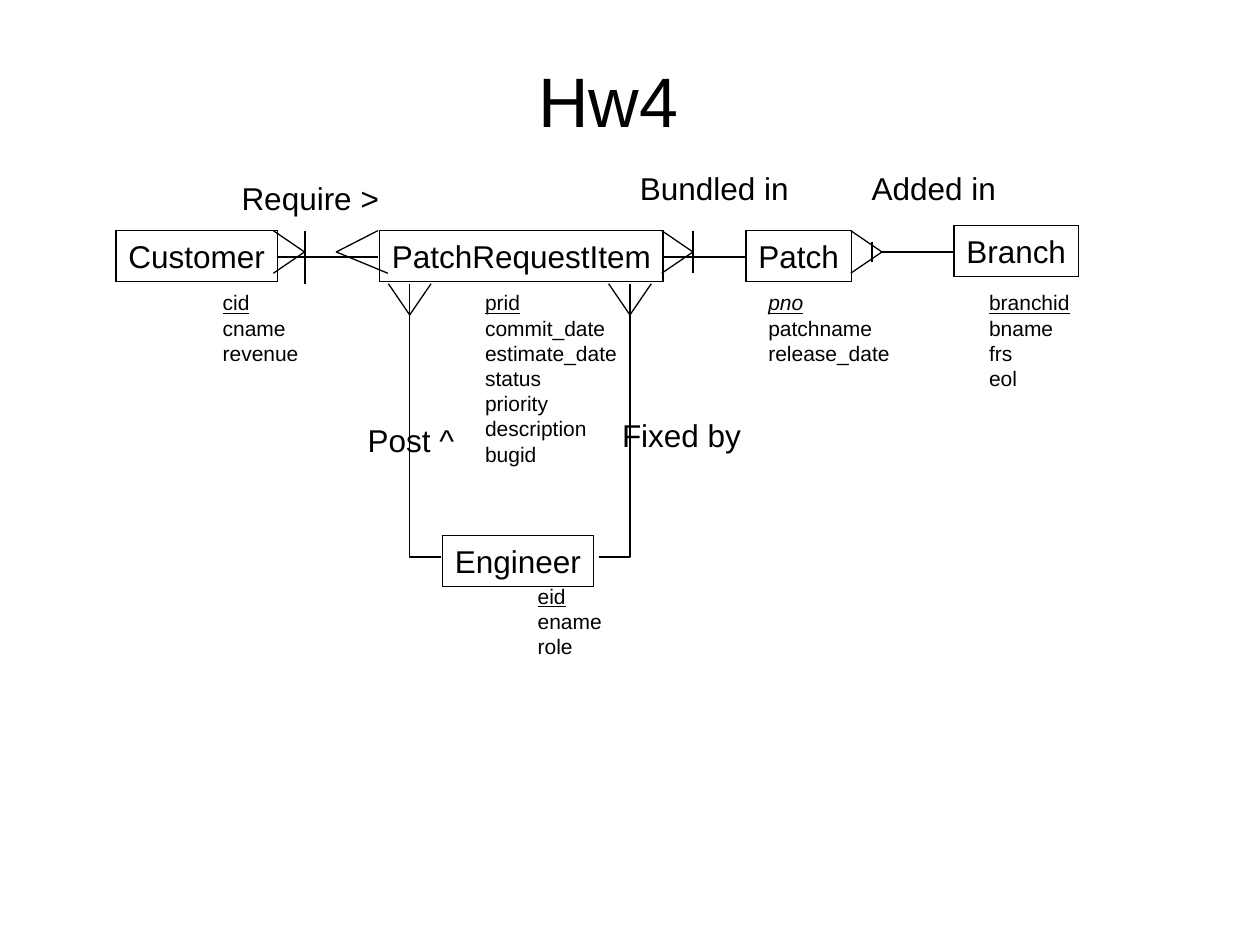
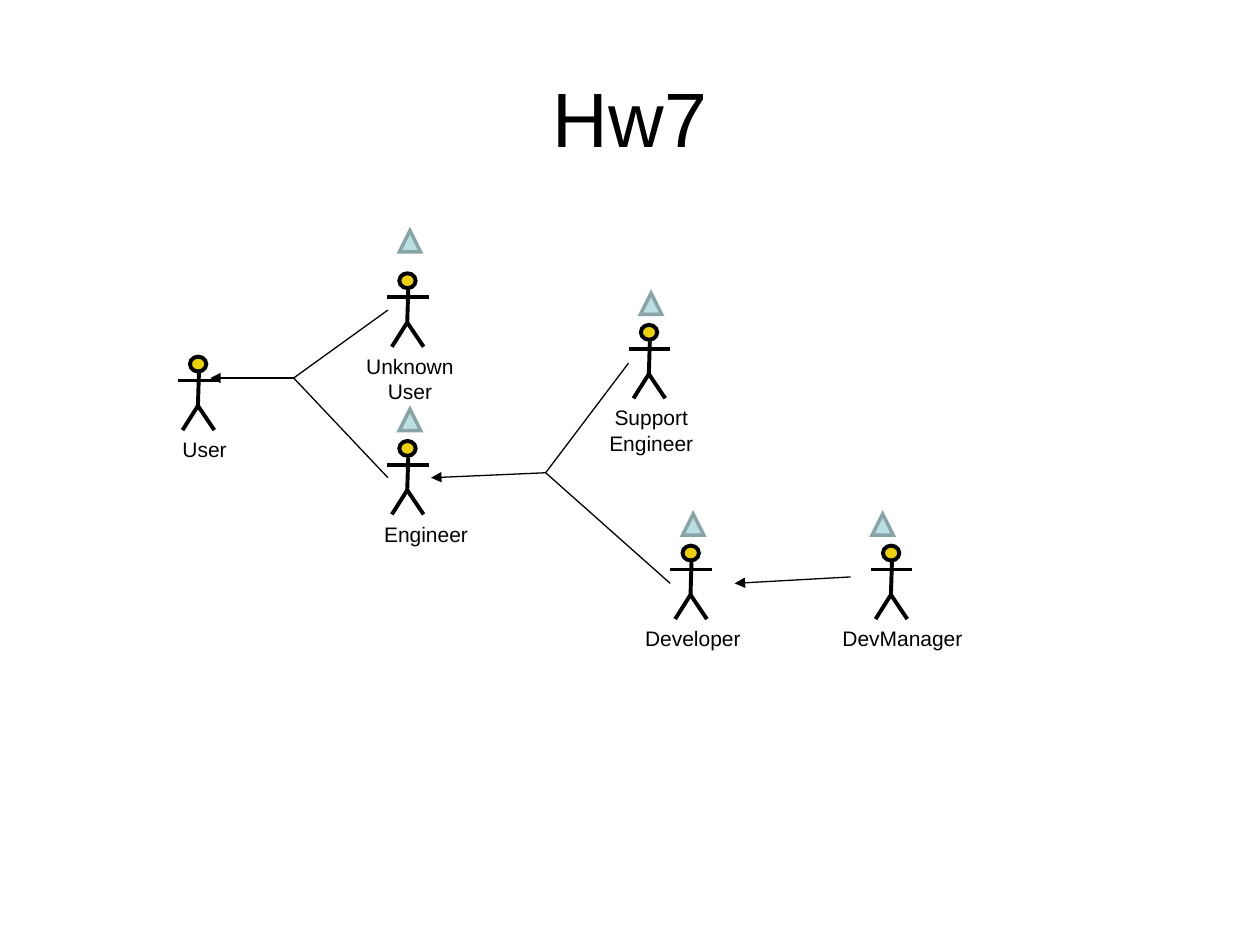
from pptx import Presentation, util as u
from pptx.dml.color import RGBColor
from pptx.enum import shapes as es, text as et
from pptx.oxml import parse_xml
from pptx.oxml.ns import nsdecls

FONT = "Arial"
INK, SKIN, MINT, TEAL = "000000", "ECD10A", "BBE0E3", "89A4A7"
THIN, BOLD = 0.75, 2.25


def tint(color, code):
    """Set a colour from a hex string."""
    color.rgb = RGBColor.from_string(code)


def style(font, size):
    """Give a font the shared face and colour."""
    font.name, font.size = FONT, u.Pt(size)
    tint(font.color, INK)


def write(frame, lines, size, align=et.PP_ALIGN.LEFT):
    """Fill a text frame with one paragraph per line."""
    frame.word_wrap = True
    frame.auto_size = et.MSO_AUTO_SIZE.SHAPE_TO_FIT_TEXT
    frame.vertical_anchor = et.MSO_ANCHOR.TOP
    if align == et.PP_ALIGN.LEFT:
        frame.margin_right = 0
    for i, line in enumerate(lines):
        para = frame.paragraphs[0] if i == 0 else frame.add_paragraph()
        para.text, para.alignment = line, align
        style(para.font, size)


def label(shapes, box, lines, size, **look):
    """Add a text box and return its text frame."""
    frame = shapes.add_textbox(*map(u.Cm, box)).text_frame
    write(frame, lines, size, **look)
    return frame


def solid(shapes, kind, box, fill, edge, width):
    """Add a preset shape with sharp corners, hollow when it has no fill."""
    shape = shapes.add_shape(kind, *map(u.Cm, box))
    shape.shadow.inherit = False
    if fill:
        shape.fill.solid()
        tint(shape.fill.fore_color, fill)
    else:
        shape.fill.background()
    tint(shape.line.color, edge)
    shape.line.width = u.Pt(width)
    edging = shape._element.spPr.find("{*}ln")
    edging.append(parse_xml(f'<a:miter {nsdecls("a")} lim="800000"/>'))
    return shape


def link(shapes, start, end, width=THIN, arrow=False):
    """Draw a straight line, with an arrowhead at its end if asked."""
    line = shapes.add_connector(es.MSO_CONNECTOR.STRAIGHT, *map(u.Cm, start + end))
    tint(line.line.color, INK)
    line.line.width = u.Pt(width)
    props = line._element.spPr
    if arrow:
        props.find("{*}ln").append(parse_xml(f'<a:tailEnd {nsdecls("a")} type="triangle"/>'))
    props.append(parse_xml(f'<a:effectLst {nsdecls("a")}/>'))


def trace(shapes, *points):
    """Draw an open outline through the points."""
    first, *rest = [tuple(map(u.Cm, point)) for point in points]
    pen = shapes.build_freeform(*first)
    pen.add_line_segments(rest, close=False)
    shape = pen.convert_to_shape()
    shape.shadow.inherit = False
    shape.fill.background()
    tint(shape.line.color, INK)
    shape.line.width = u.Pt(THIN)


def page(deck, name, box, size):
    """Add a slide with a centred title and return its shapes."""
    shapes = deck.slides.add_slide(deck.slide_layouts[5]).shapes
    title = shapes.title
    title.left, title.top, title.width, title.height = map(u.Cm, box)
    title.text_frame.text = name
    title.text_frame.vertical_anchor = et.MSO_ANCHOR.MIDDLE
    para = title.text_frame.paragraphs[0]
    para.alignment = et.PP_ALIGN.CENTER
    style(para.font, size)
    return shapes


def entity(shapes, name, box, shift, width, fields):
    """Draw an entity box with its fields below, the key underlined."""
    left, top, span = box
    shape = solid(shapes, es.MSO_SHAPE.RECTANGLE, (left, top, span, 1.02), None, INK, THIN)
    write(shape.text_frame, [name], 18)
    spot = left + shift[0], top + shift[1], width, 0.25 + 0.51 * len(fields)
    key = label(shapes, spot, fields, 12).paragraphs[0]
    key.font.underline = True
    if name == "Patch":
        key.font.italic = True


def schema(deck):
    """Build the entity diagram slide."""
    shapes = page(deck, "Hw4", (1.47, 1.27, 21.59, 1.47), 40)
    for row in (
        ("Customer", (2.34, 4.65, 3.25), (1.9, 1.07), 2.03, ["cid", "cname", "revenue"]),
        ("PatchRequestItem", (7.65, 4.65, 5.72), (1.88, 1.07), 3.15,
         ["prid", "commit_date", "estimate_date", "status", "priority", "description", "bugid"]),
        ("Patch", (15.04, 4.65, 2.13), (0.2, 1.07), 2.95, ["pno", "patchname", "release_date"]),
        ("Branch", (19.23, 4.55, 2.51), (0.46, 1.17), 2.13, ["branchid", "bname", "frs", "eol"]),
        ("Engineer", (8.92, 10.8, 3.05), (1.67, 0.83), 1.8, ["eid", "ename", "role"]),
    ):
        entity(shapes, *row)
    for name, left, top, width in (
        ("Require >", 4.62, 3.48, 3.28), ("Post ^", 7.16, 8.36, 2.24),
        ("Fixed by", 12.29, 8.26, 2.9), ("Bundled in", 12.65, 3.28, 3.51),
        ("Added in", 17.32, 3.28, 3),
    ):
        label(shapes, (left, top, width, 1.02), [name], 18)
    for start, end, y in ((5.61, 7.62, 5.18), (13.39, 15.04, 5.18), (17.78, 19.23, 5.08)):
        link(shapes, (start, y), (end, y))
    for x, top, end in ((6.15, 4.65, 5.72), (13.97, 4.65, 5.51), (17.58, 4.88, 5.28)):
        link(shapes, (x, top), (x, end))
    for x in (5.51, 13.34, 17.15):
        trace(shapes, (x, 4.65), (x + 0.63, 5.08), (x, 5.51))
    trace(shapes, (7.62, 4.65), (6.78, 5.08), (7.82, 5.51))
    for x, side in ((8.26, 8.89), (12.7, 12.07)):
        trace(shapes, (side, 11.23), (x, 11.23), (x, 5.72))
        trace(shapes, (x - 0.43, 5.72), (x, 6.35), (x + 0.43, 5.72))


def actor(shapes, name, left, top, shift, width, mark):
    """Draw a stick figure with its name, and a triangle above if marked."""
    parts = shapes.add_group_shape().shapes
    solid(parts, es.MSO_SHAPE.OVAL, (left + 0.25, top, 0.33, 0.3), SKIN, INK, BOLD)
    hip = 0.41, 0.99
    for start, end in (
        ((0.43, 0.33), hip), ((0.1, 1.48), hip), ((0.74, 1.48), hip), ((0, 0.48), (0.84, 0.48)),
    ):
        link(parts, (left + start[0], top + start[1]), (left + end[0], top + end[1]), BOLD)
    height = 1.27 if " " in name else 0.76
    label(parts, (left + shift, top + 1.49, width, height), [name], 12, align=et.PP_ALIGN.CENTER)
    if mark:
        spot = left + mark[0], top + mark[1], 0.43, 0.43
        solid(shapes, es.MSO_SHAPE.FLOWCHART_EXTRACT, spot, MINT, TEAL, 2)


def roles(deck):
    """Build the actor hierarchy slide."""
    shapes = page(deck, "Hw7", (1.27, 0.76, 22.86, 3.18), 44)
    for row in (
        ("Support Engineer", 12.67, 6.55, -0.81, 2.54, (0.24, -0.64)),
        ("Unknown User", 7.8, 5.51, -1.02, 2.97, (0.25, -0.86)),
        ("Engineer", 7.8, 8.89, -0.38, 2.34, (0.25, -0.64)),
        ("User", 3.58, 7.19, -0.41, 1.91, None),
        ("Developer", 13.51, 11, -0.81, 2.54, (0.25, -0.64)),
        ("DevManager", 17.55, 11, -0.84, 2.97, (0.03, -0.64)),
    ):
        actor(shapes, *row)
    for fork, head, *tails in (
        ((5.92, 7.62), (4.24, 7.62), (7.82, 6.25), (7.82, 9.63)),
        ((11, 9.53), (8.69, 9.63), (12.67, 7.32), (13.51, 11.76)),
        ((17.15, 11.63), (14.81, 11.76)),
    ):
        link(shapes, fork, head, arrow=True)
        for tail in tails:
            link(shapes, fork, tail)


def main():
    """Build and save the deck."""
    deck = Presentation()
    deck.slide_width, deck.slide_height = u.Cm(25.4), u.Cm(19.05)
    schema(deck)
    roles(deck)
    deck.save("out.pptx")


if __name__ == "__main__":
    main()
